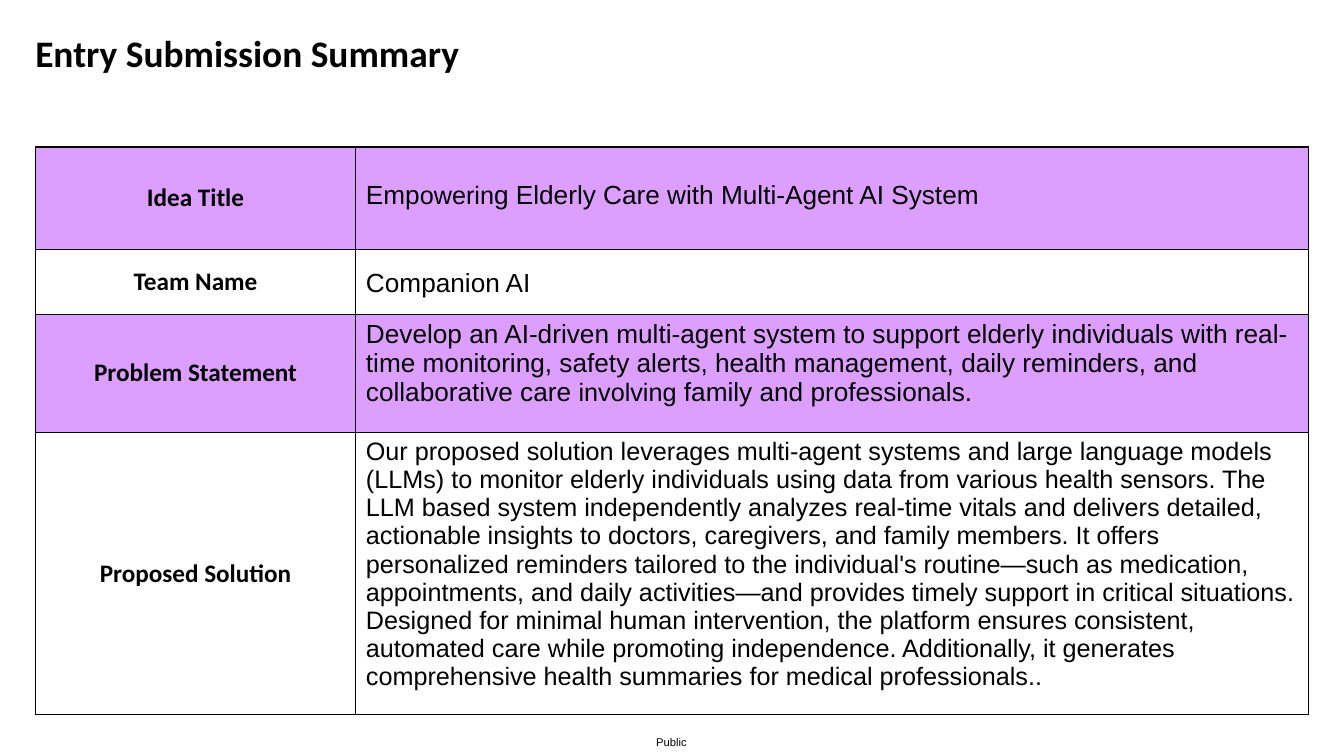
from dataclasses import dataclass

import lxml.etree
import pptx
import pptx.dml.color
import pptx.enum.text
import pptx.oxml.ns
import pptx.util

Pt = pptx.util.Pt
BLACK, WHITE, LILAC = "000000", "FFFFFF", "DD9FFF"
BORDER_TAGS = ("a:lnL", "a:lnR", "a:lnT", "a:lnB")


@dataclass
class SummaryRow:
    label: str
    runs: list[tuple[str, float]]  # text and size
    height: float
    top_margin: float = 3.6
    line_spacing: float = 1.0


ROWS = [
    SummaryRow("Idea Title", [
        ("Emp", 18.7), ("owerin", 18),
        ("g Elderly Care with Multi-Agent AI System", 18.7),
    ], 73.2, top_margin=24.5),
    SummaryRow("Team Name", [("Companion AI", 18.7)], 46.4, line_spacing=1.5),
    SummaryRow("Problem Statement", [
        ("Develop an AI-driven multi-agent system to support elderly individuals "
         "with real-time monitoring, safety alerts, health management, daily "
         "reminders, and collaborative care ", 18.7),
        ("involving", 18), (" family and professionals.", 18.7),
    ], 84.2),
    SummaryRow("Proposed Solution", [
        ("Our proposed solution leverages multi-agent systems and large language "
         "models (LLMs) to monitor elderly individuals using data from various "
         "health sensors. The LLM based system independently analyzes real-time "
         "vitals and delivers detailed, actionable insights to doctors, caregivers, "
         "and family members. It offers personalized reminders tailored to the "
         "individual's routine—such as medication, appointments, and daily "
         "activities—and provides timely support in critical situations. Designed "
         "for minimal human intervention, the platform ensures consistent, automated "
         "care while promoting independence. Additionally, it generates "
         "comprehensive health summaries for medical professionals..", 18),
    ], 201.6),
]


def color(value: str) -> pptx.dml.color.RGBColor:
    return pptx.dml.color.RGBColor.from_string(value)


def add_run(paragraph, text: str, size: float, font: str, bold: bool = False) -> None:
    run = paragraph.add_run()
    run.text = text
    run.font.size = Pt(size)
    run.font.name = font
    run.font.bold = bold
    run.font.color.rgb = color(BLACK)


def add_text(slide, box: tuple[float, float, float, float], text: str, size: float,
             font: str, bold: bool = False, wrap: bool = True):
    shape = slide.shapes.add_textbox(*map(Pt, box))
    frame = shape.text_frame
    frame.word_wrap = wrap
    frame.margin_left = frame.margin_top = frame.margin_right = frame.margin_bottom = 0
    add_run(frame.paragraphs[0], text, size, font, bold)
    return frame


def style_cell(cell, fill: str) -> None:
    properties = cell._tc.get_or_add_tcPr()
    qn = pptx.oxml.ns.qn
    for tag in BORDER_TAGS:
        line = lxml.etree.SubElement(properties, qn(tag), w=str(Pt(1)))
        solid = lxml.etree.SubElement(line, qn("a:solidFill"))
        lxml.etree.SubElement(solid, qn("a:srgbClr"), val=BLACK)
    cell.fill.solid()
    cell.fill.fore_color.rgb = color(fill)


def add_summary_table(slide, rows: list[SummaryRow]) -> None:
    height = sum(row.height for row in rows)
    table = slide.shapes.add_table(
        len(rows), 2, Pt(25.2), Pt(105), Pt(909.4), Pt(height)).table
    table.columns[0].width = Pt(229)
    table.columns[1].width = Pt(680.4)
    for index, row in enumerate(rows):
        table.rows[index].height = Pt(row.height)
        label, content = table.cell(index, 0), table.cell(index, 1)
        for cell in (label, content):
            style_cell(cell, WHITE if index % 2 else LILAC)

        label.vertical_anchor = pptx.enum.text.MSO_ANCHOR.MIDDLE
        paragraph = label.text_frame.paragraphs[0]
        paragraph.alignment = pptx.enum.text.PP_ALIGN.CENTER
        add_run(paragraph, row.label, 18, "Calibri", bold=True)

        content.margin_top = Pt(row.top_margin)
        paragraph = content.text_frame.paragraphs[0]
        paragraph.line_spacing = row.line_spacing
        for text, size in row.runs:
            add_run(paragraph, text, size, "Arial")


def main() -> None:
    presentation = pptx.Presentation()
    presentation.slide_width, presentation.slide_height = Pt(960), Pt(540)
    slide = presentation.slides.add_slide(presentation.slide_layouts[6])

    # Footer label
    add_text(slide, (468.7, 525.6, 24.5, 9.4), "Public", 8, "Arial", wrap=False)

    # Title
    title = add_text(slide, (25.2, 28, 885, 67), "Entry Submission Summary",
                     26.7, "Calibri", bold=True)
    title.paragraphs[0].line_spacing = 0.8

    # Summary table
    add_summary_table(slide, ROWS)

    presentation.save("out.pptx")


if __name__ == "__main__":
    main()
